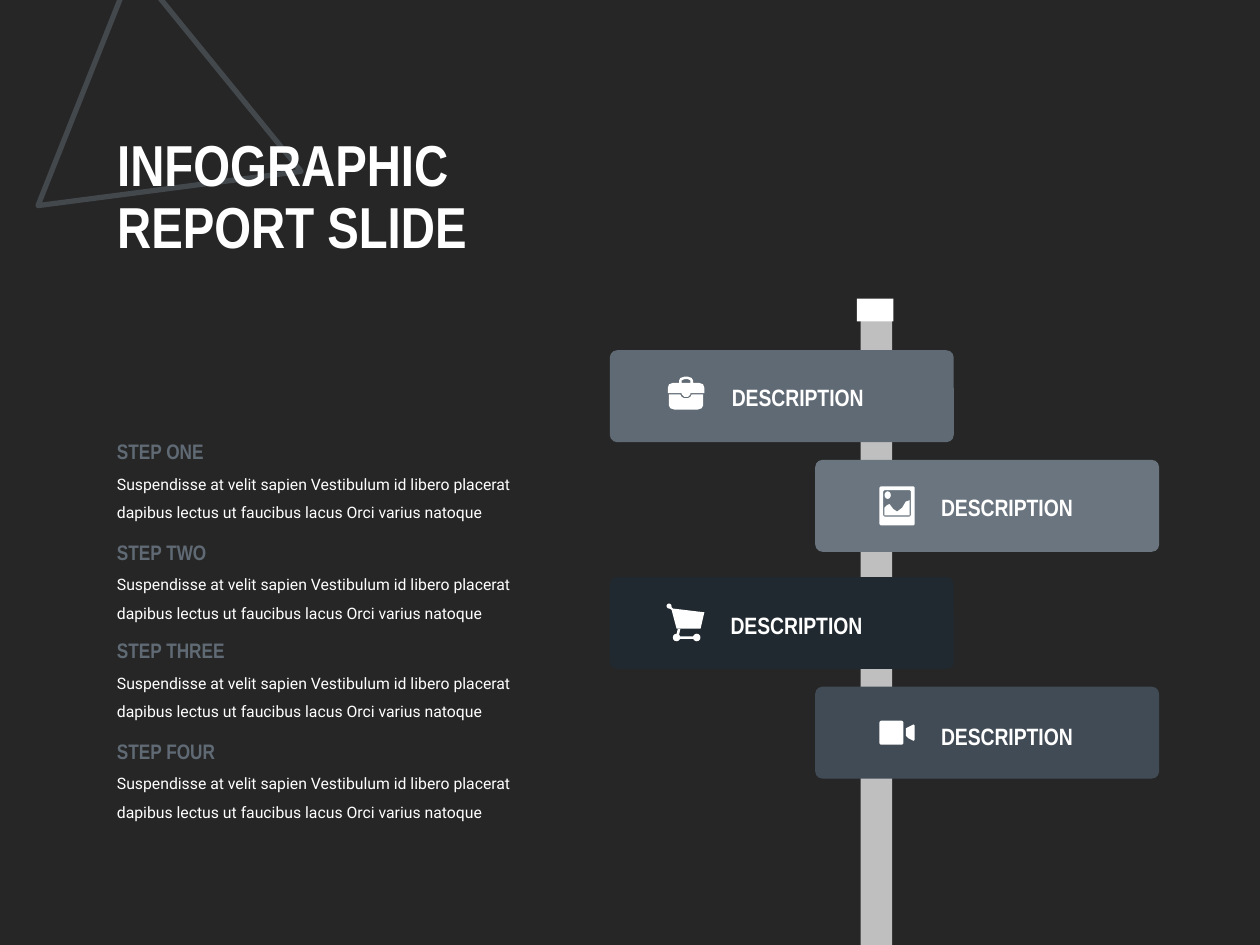
from lxml.etree import SubElement
from pptx import Presentation
from pptx.dml.color import RGBColor
from pptx.enum.shapes import MSO_SHAPE as Kind
from pptx.enum.text import MSO_ANCHOR as Anchor, PP_ALIGN as Align
from pptx.oxml.ns import qn
from pptx.util import Inches, Pt

DARK = RGBColor(0x26, 0x26, 0x26)
WHITE = RGBColor(0xFF, 0xFF, 0xFF)
POLE = RGBColor(0xBF, 0xBF, 0xBF)
SLATE = RGBColor(0x60, 0x6A, 0x74)
STEEL = RGBColor(0x6A, 0x75, 0x7F)
NAVY = RGBColor(0x21, 0x29, 0x30)
STORM = RGBColor(0x41, 0x4B, 0x56)

HEAD, BODY = "Arial Narrow", "Roboto"
NOTE = ("Suspendisse at velit sapien Vestibulum id libero placerat "
        "dapibus lectus ut faucibus lacus Orci varius natoque")
STEPS = [("STEP ONE", 3.43), ("STEP TWO", 4.23),
         ("STEP THREE", 5.01), ("STEP FOUR", 5.81)]

# Icon outlines, in inches from the top left corner of their board
CASE = [(.47, .35), (.56, .35), (.57, .37), (.59, .38), (.62, .38),
        (.64, .37), (.65, .35), (.74, .35), (.74, .44), (.73, .46),
        (.7, .47), (.51, .47), (.48, .46), (.47, .44)]
LID = [(.46, .34), (.46, .3), (.47, .27), (.5, .26), (.55, .26), (.55, .24),
       (.56, .22), (.59, .21), (.62, .21), (.65, .22), (.66, .24), (.66, .26),
       (.71, .26), (.74, .27), (.75, .3), (.75, .34), (.64, .34), (.64, .35),
       (.62, .37), (.59, .37), (.57, .35), (.57, .34)]
GRIP = [(.57, .26), (.57, .24), (.59, .23), (.62, .23), (.64, .24), (.64, .26)]
FRAME = [(.52, .21), (.78, .21), (.79, .22), (.79, .51), (.78, .52),
         (.52, .52), (.51, .51), (.51, .22)]
PANE = [(.55, .24), (.75, .24), (.76, .25), (.76, .44), (.75, .45),
        (.55, .45), (.54, .44), (.54, .25)]
HILLS = [(.75, .32), (.72, .33), (.69, .38), (.65, .41), (.62, .39),
         (.59, .35), (.57, .36), (.55, .38), (.55, .44), (.75, .44)]
BASKET = [(.53, .41), (.72, .41), (.75, .28), (.5, .25), (.48, .23),
          (.46, .24), (.49, .26)]
STRUT = [(.54, .41), (.56, .41), (.55, .46), (.53, .45)]
LENS = [(.72, .33), (.74, .32), (.78, .3), (.79, .31), (.79, .42),
        (.78, .43), (.74, .41), (.72, .39)]


def paint(shape, color):
    shape.shadow.inherit = False
    shape.fill.solid()
    shape.fill.fore_color.rgb = color
    shape.line.fill.background()


def add_block(slide, kind, x, y, w, h, color):
    block = slide.shapes.add_shape(kind, *map(Inches, (x, y, w, h)))
    paint(block, color)
    return block


def add_outline(slide, x, y, *rings):
    """Draw one white outline; rings after the first are holes."""
    rings = [[(Inches(x + dx), Inches(y + dy)) for dx, dy in ring]
             for ring in rings]
    pen = slide.shapes.build_freeform(*rings[0][0])
    pen.add_line_segments(rings[0][1:])
    for ring in rings[1:]:
        pen.move_to(*ring[0])
        pen.add_line_segments(ring[1:])
    paint(pen.convert_to_shape(), WHITE)


def style(para, name, size, color, bold=False):
    font = para.font
    font.name, font.size, font.bold = name, Pt(size), bold
    font.color.rgb = color


def add_text(slide, x, y, w, h, text, name, size, color, bold=True, gap=None):
    box = slide.shapes.add_textbox(*map(Inches, (x, y, w, h)))
    frame = box.text_frame
    frame.word_wrap = True
    para = frame.paragraphs[0]
    para.text = text
    para.line_spacing = gap
    style(para, name, size, color, bold)


def add_title(slide):
    title = slide.shapes.title
    title.left, title.top = Inches(.83), Inches(.79)
    title.width, title.height = Inches(4.22), Inches(1.58)
    frame = title.text_frame
    frame.vertical_anchor = Anchor.MIDDLE
    para = frame.paragraphs[0]
    para.text = "INFOGRAPHIC\vREPORT SLIDE"
    para.alignment = Align.LEFT
    para.line_spacing = .9
    style(para, HEAD, 33, WHITE, True)


def add_corner(slide):
    """Put the faint triangle behind the title."""
    shape = add_block(slide, Kind.ISOSCELES_TRIANGLE, .51, .1, 2.05, 1.84, DARK)
    shape.fill.background()
    shape.rotation = 111.7
    shape.line.color.rgb = SLATE
    shape.line.width = Pt(3)
    tint = next(shape.line.fill._xPr.iter(qn("a:srgbClr")))
    SubElement(tint, qn("a:alpha"), val="50000")
    slide.shapes.title.element.addprevious(shape.element)


def draw_case(slide, x, y):
    add_outline(slide, x, y, CASE)
    add_outline(slide, x, y, LID, GRIP)


def draw_photo(slide, x, y):
    add_outline(slide, x, y, FRAME, PANE)
    add_outline(slide, x, y, HILLS)
    add_block(slide, Kind.OVAL, x + .55, y + .25, .05, .06, WHITE)


def draw_cart(slide, x, y):
    add_outline(slide, x, y, BASKET)
    add_outline(slide, x, y, STRUT)
    add_block(slide, Kind.RECTANGLE, x + .53, y + .47, .16, .02, WHITE)
    for dx, dy, size in [(.45, .21, .04), (.5, .45, .06), (.66, .45, .06)]:
        add_block(slide, Kind.OVAL, x + dx, y + dy, size, size, WHITE)


def draw_video(slide, x, y):
    body = add_block(slide, Kind.ROUNDED_RECTANGLE,
                     x + .51, y + .27, .19, .19, WHITE)
    body.adjustments[0] = .08
    add_outline(slide, x, y, LENS)


def add_sign(slide, x, y, color, draw, dx, dy):
    board = add_block(slide, Kind.ROUNDED_RECTANGLE, x, y, 2.73, .73, color)
    board.adjustments[0] = .08
    draw(slide, x, y)
    add_text(slide, x + dx, y + dy, 1.41, .33, "DESCRIPTION", HEAD, 13.5, WHITE)


def main():
    deck = Presentation()
    deck.slide_width, deck.slide_height = Inches(10), Inches(7.5)
    slide = deck.slides.add_slide(deck.slide_layouts[0])
    slide.background.fill.solid()
    slide.background.fill.fore_color.rgb = DARK
    sub = slide.placeholders[1].element
    sub.getparent().remove(sub)

    add_title(slide)
    add_corner(slide)
    add_block(slide, Kind.RECTANGLE, 6.83, 2.48, .25, 5.19, POLE)
    add_block(slide, Kind.RECTANGLE, 6.8, 2.37, .29, .18, WHITE)
    left, right = 4.84, 6.47
    add_sign(slide, left, 2.78, SLATE, draw_case, .87, .21)
    add_sign(slide, right, 3.65, STEEL, draw_photo, .9, .21)
    add_sign(slide, left, 4.58, NAVY, draw_cart, .86, .22)
    add_sign(slide, right, 5.45, STORM, draw_video, .9, .23)
    for name, y in STEPS:
        add_text(slide, .83, y + .21, 3.37, .53, NOTE, BODY, 9, WHITE,
                 bold=False, gap=1.5)
        add_text(slide, .83, y, 1.84, .3, name, HEAD, 12, SLATE)
    deck.save("out.pptx")


if __name__ == "__main__":
    main()
